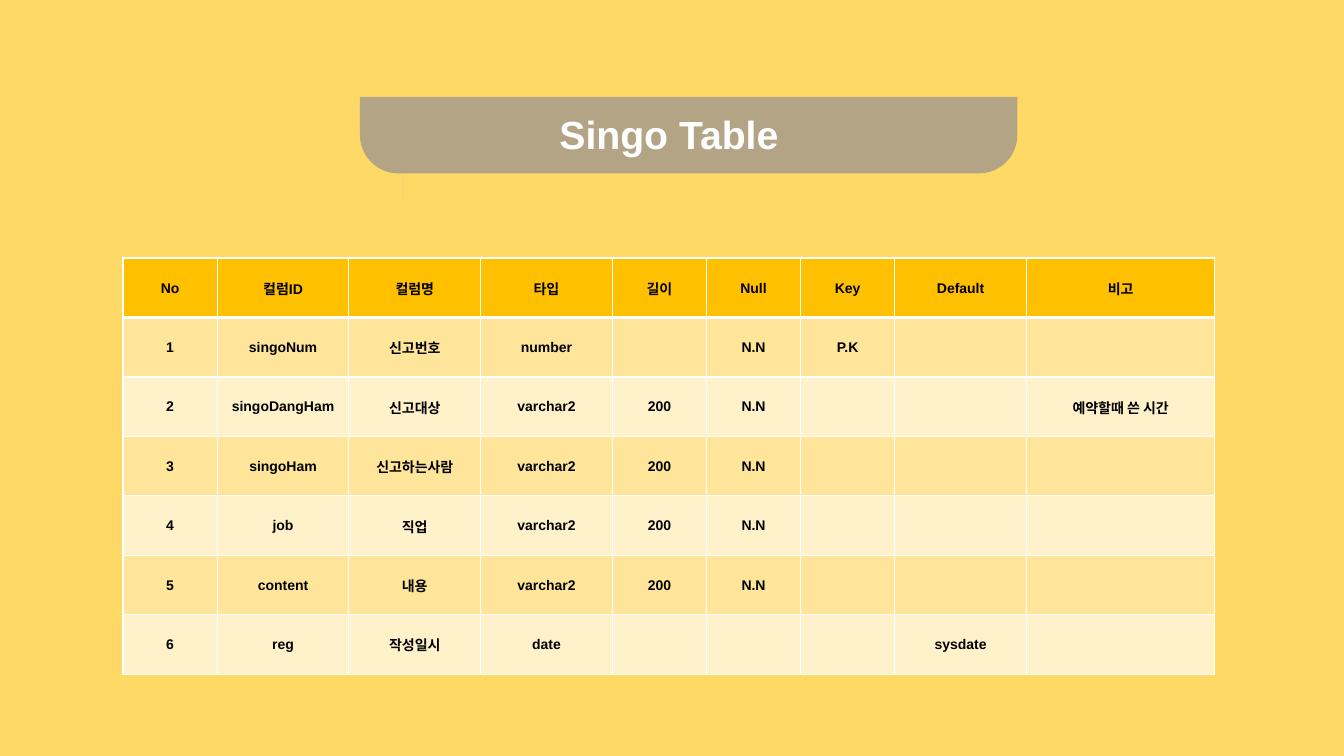
"""Build the Singo Table slide: a title banner with a paw over a column list."""
from math import cos, pi, radians, sin

from lxml import etree
from pptx import Presentation, util as u
from pptx.dml.color import RGBColor
from pptx.enum import shapes, text
from pptx.oxml.ns import qn

TITLE = "Singo Table"
ROWS = [
    ("No", "컬럼ID", "컬럼명", "타입", "길이", "Null", "Key", "Default", "비고"),
    ("1", "singoNum", "신고번호", "number", "", "N.N", "P.K", "", ""),
    ("2", "singoDangHam", "신고대상", "varchar2", "200", "N.N", "", "", "예약할때 쓴 시간"),
    ("3", "singoHam", "신고하는사람", "varchar2", "200", "N.N", "", "", ""),
    ("4", "job", "직업", "varchar2", "200", "N.N", "", "", ""),
    ("5", "content", "내용", "varchar2", "200", "N.N", "", "", ""),
    ("6", "reg", "작성일시", "date", "", "", "", "sysdate", ""),
]
SPANS = (5, 7, 7, 7, 5, 5, 5, 7, 10)
TABLE = (1.22, 2.56, 10.83, 4.13)
BANNER = (3.57, 0.96, 6.52, 0.76)
HEAD = (5.43, 1.05, 2.41, 0.56)
TOES = [
    (4.17, 1.54, 0.08, 0.04, -8),
    (4.11, 1.42, 0.08, 0.05, -50),
    (3.87, 1.38, 0.04, 0.08, 0),
    (4.0, 1.35, 0.04, 0.08, 15),
]
PAD = [
    (3.96, 1.46), (4.01, 1.47), (4.05, 1.51), (4.07, 1.55), (4.07, 1.59),
    (4.09, 1.62), (4.09, 1.67), (4.07, 1.72), (4.03, 1.75), (3.99, 1.75),
    (3.96, 1.77), (3.93, 1.78), (3.89, 1.77), (3.85, 1.74), (3.83, 1.71),
    (3.79, 1.68), (3.77, 1.65), (3.77, 1.6), (3.79, 1.55), (3.83, 1.52),
    (3.86, 1.51), (3.88, 1.48), (3.92, 1.46),
]
HUES = {
    "back": "FFD966", "head": "FFC000", "odd": "FEE599", "even": "FFF2CB",
    "white": "FFFFFF", "ink": "000000", "banner": "B4A486", "paw": "BFB198",
}


def paint(fill, hue):
    fill.solid()
    fill.fore_color.rgb = RGBColor.from_string(HUES[hue])


def finish(shape, hue):
    paint(shape.fill, hue)
    shape.line.fill.background()
    shape.shadow.inherit = False


def write(frame, words, size=10, hue="ink"):
    para = frame.paragraphs[0]
    para.alignment = text.PP_ALIGN.CENTER
    para.font.size = u.Pt(size)
    if words:
        run = para.add_run()
        run.text = words
        run.font.name = "Arial"
        run.font.size = u.Pt(size)
        run.font.bold = True
        run.font.color.rgb = RGBColor.from_string(HUES[hue])


def border(cell, **widths):
    props = cell._tc.get_or_add_tcPr()
    for side in "LRTB":
        line = etree.SubElement(props, qn("a:ln" + side))
        line.set("w", str(u.Pt(widths.get(side, 1))))
        fill = etree.SubElement(line, qn("a:solidFill"))
        etree.SubElement(fill, qn("a:srgbClr")).set("val", HUES["white"])


def add_table(slide):
    box = map(u.Inches, TABLE)
    grid = slide.shapes.add_table(len(ROWS), len(SPANS), *box).table
    for col, span in zip(grid.columns, SPANS):
        col.width = u.Inches(TABLE[2] * span / sum(SPANS))
    for r, row in enumerate(ROWS):
        grid.rows[r].height = u.Inches(TABLE[3] / len(ROWS))
        hue = "head" if r == 0 else ("even", "odd")[r % 2]
        for c, words in enumerate(row):
            cell = grid.cell(r, c)
            cell.margin_left = cell.margin_right = cell.margin_top = u.Inches(0.01)
            cell.margin_bottom = 0
            cell.vertical_anchor = text.MSO_ANCHOR.MIDDLE
            border(cell, T=3 if r == 1 else 1, B=3 if r == 0 else 1)
            paint(cell.fill, hue)
            write(cell.text_frame, words)


def oval(x, y, wide, high, turn, steps=24):
    tilt = radians(turn)
    dots = []
    for step in range(steps):
        a, b = (wide * cos(2 * pi * step / steps), high * sin(2 * pi * step / steps))
        dots.append((x + a * cos(tilt) - b * sin(tilt),
                     y + a * sin(tilt) + b * cos(tilt)))
    return dots


def add_paw(slide):
    pen = slide.shapes.build_freeform(*PAD[0], scale=u.Inches(1))
    pen.add_line_segments(PAD[1:], close=True)
    for toe in TOES:
        dots = oval(*toe)
        pen.move_to(*dots[0])
        pen.add_line_segments(dots[1:], close=True)
    finish(pen.convert_to_shape(), "paw")


def add_banner(slide):
    kind = shapes.MSO_SHAPE.ROUND_2_SAME_RECTANGLE
    bar = slide.shapes.add_shape(kind, *map(u.Inches, BANNER))
    bar.adjustments[0] = 0.5
    bar.adjustments[1] = 0
    bar.rotation = 180
    finish(bar, "banner")
    frame = slide.shapes.add_textbox(*map(u.Inches, HEAD)).text_frame
    frame.word_wrap = True
    frame.auto_size = text.MSO_AUTO_SIZE.SHAPE_TO_FIT_TEXT
    write(frame, TITLE, size=28, hue="white")


def main():
    deck = Presentation()
    deck.slide_width, deck.slide_height = u.Inches(13.33), u.Inches(7.5)
    slide = deck.slides.add_slide(deck.slide_layouts[6])
    paint(slide.background.fill, "back")
    add_table(slide)
    add_banner(slide)
    add_paw(slide)
    deck.save("out.pptx")


if __name__ == "__main__":
    main()
